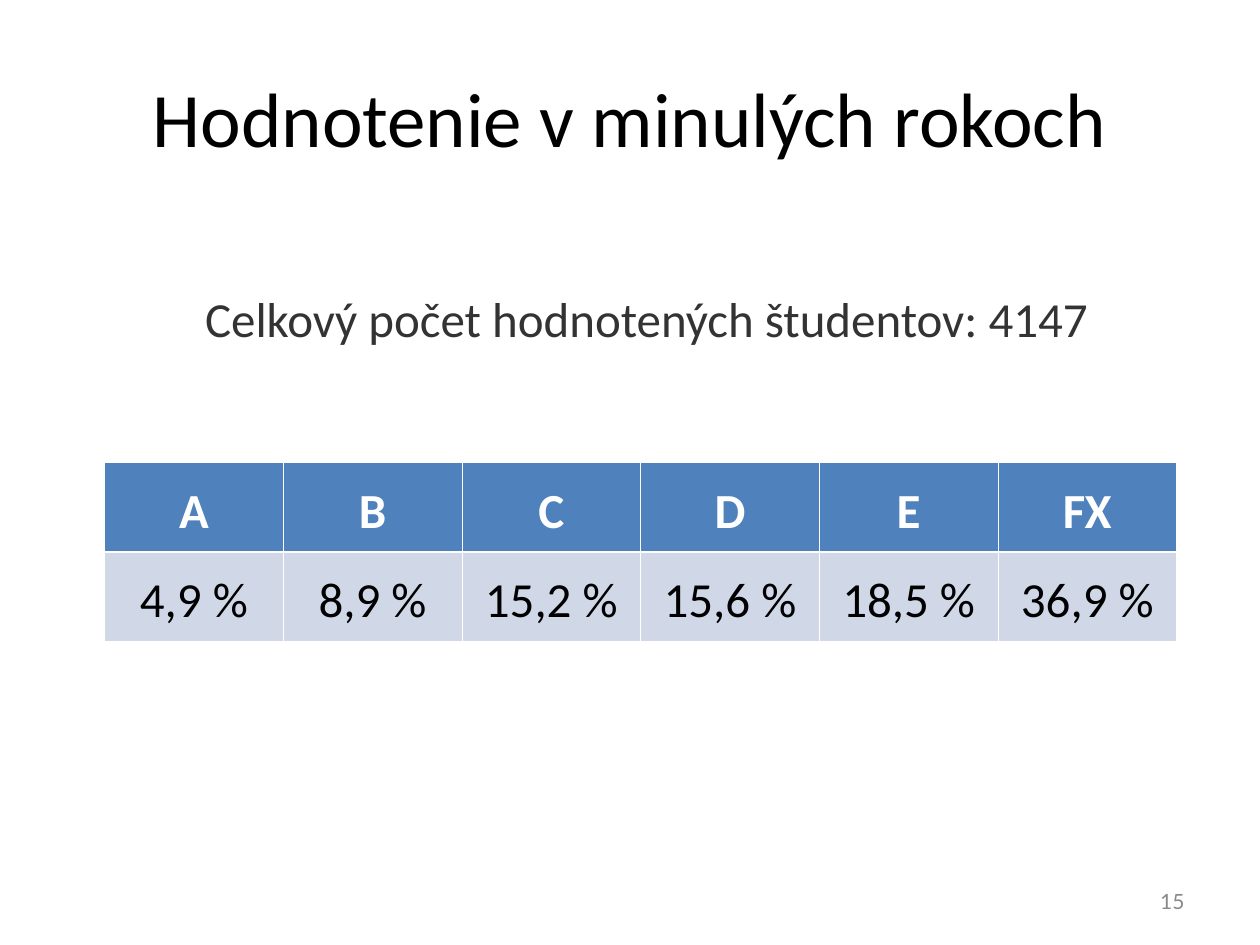
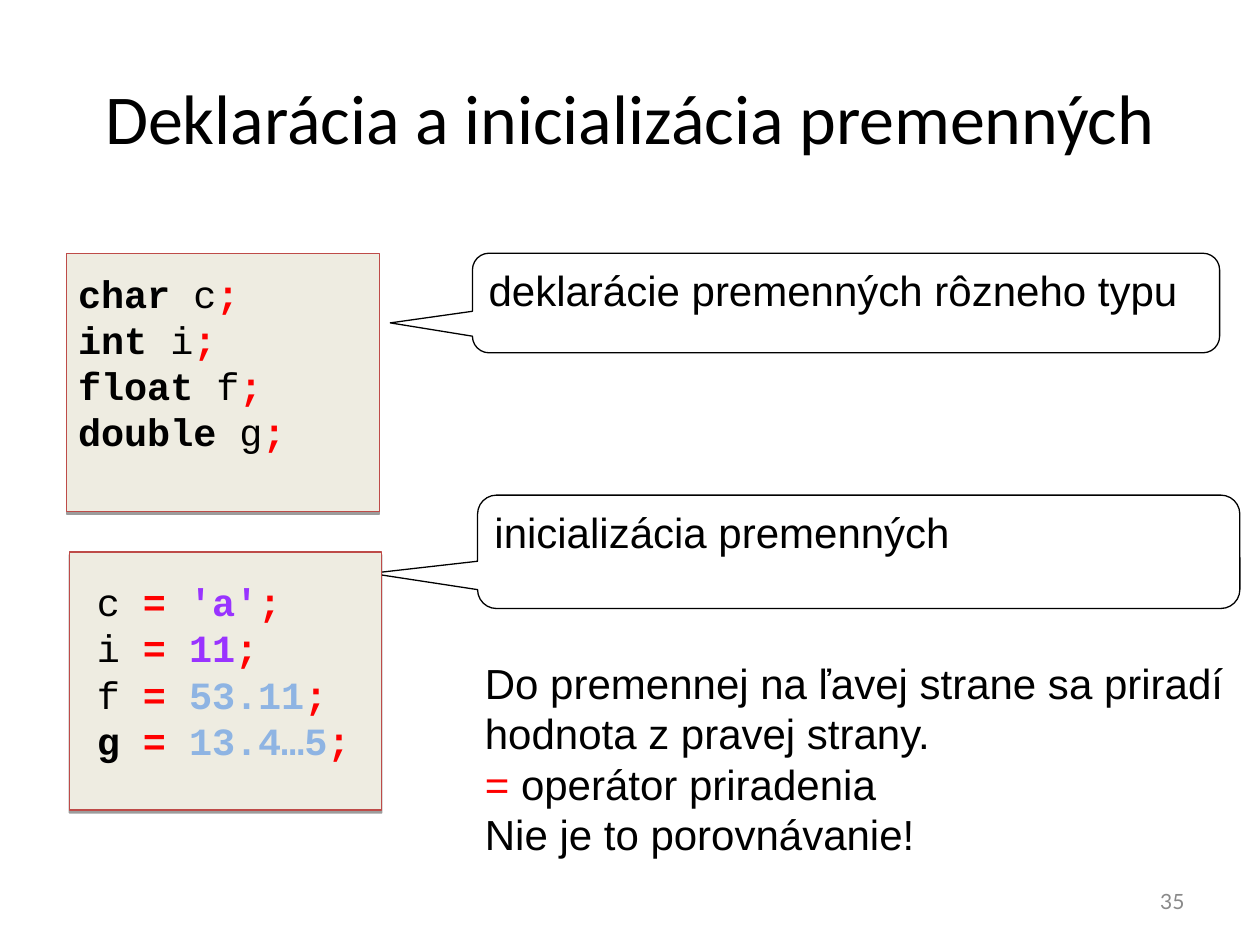
from dataclasses import dataclass
from typing import Any, NamedTuple

import pptx
import pptx.chart.data
import pptx.dml.color
import pptx.enum.shapes
import pptx.enum.text
import pptx.oxml
import pptx.oxml.ns
import pptx.util

Inches = pptx.util.Inches
Pt = pptx.util.Pt
Align = pptx.enum.text.PP_ALIGN
Anchor = pptx.enum.text.MSO_ANCHOR
Kind = pptx.enum.shapes.MSO_SHAPE

BLACK, WHITE, RED = "000000", "FFFFFF", "FF0000"
VIOLET, SKY, GRAY, DARK = "9933FF", "8EB4E3", "898989", "333333"
BLUE, PALE, CREAM, BRICK = "4F81BD", "D0D8E8", "EEECE1", "BE4B48"


class Box(NamedTuple):
    left: float
    top: float
    width: float
    height: float


class Run(NamedTuple):
    text: str
    color: str = BLACK
    bold: bool = False


@dataclass(frozen=True)
class Style:
    font: str
    size: int
    align: Any = Align.LEFT
    anchor: Any = Anchor.TOP
    side: float = 0.1
    space: float = 1.0
    wrap: bool = True


@dataclass(frozen=True)
class Callout:
    box: Box
    text: str
    tip: tuple[float, float]


TITLE = Style("Calibri", 44, Align.CENTER, Anchor.MIDDLE)
LONG = Style("Calibri", 40, Align.CENTER, Anchor.MIDDLE)
TOTAL = Style("Calibri", 28, anchor=Anchor.MIDDLE, wrap=False)
CELL = Style("Calibri", 28, Align.CENTER, Anchor.MIDDLE, 0.05, 1.15)
PAGE = Style("Lato", 12, Align.RIGHT, Anchor.MIDDLE)
TYPES = Style("Courier New", 22, side=0.09)
VALUES = Style("Courier New", 22)
LABEL = Style("Arial", 24, side=0.09)
NOTE = Style("Arial", 24)

GRADES = {
    "A": "4,9 %",
    "B": "8,9 %",
    "C": "15,2 %",
    "D": "15,6 %",
    "E": "18,5 %",
    "FX": "36,9 %",
}
VARS = [("char", "c"), ("int", "i"), ("float", "f"), ("double", "g")]
SETS = [
    ("c", "'a'", VIOLET, False),
    ("i", "11", VIOLET, False),
    ("f", "53.11", SKY, False),
    ("g", "13.4…5", SKY, True),
]
PANELS = [Box(0.53, 2.01, 2.48, 2.05), Box(0.55, 4.38, 2.48, 2.05)]
CALLS = [
    Callout(Box(3.75, 2.01, 5.93, 0.79), "deklarácie premenných rôzneho typu", (-0.61, 0.2)),
    Callout(Box(3.79, 3.93, 6.05, 0.9), "inicializácia premenných", (-0.64, 0.19)),
]


def rgb(code: str) -> Any:
    return pptx.dml.color.RGBColor.from_string(code)


def place(box: Box) -> list[Any]:
    return [Inches(length) for length in box]


def write(frame: Any, lines: list[list[Run]], style: Style) -> None:
    for number, line in enumerate(lines):
        para = frame.add_paragraph() if number else frame.paragraphs[0]
        para.alignment = style.align
        para.line_spacing = style.space
        for item in line:
            run = para.add_run()
            run.text = item.text
            run.font.name = style.font
            run.font.size = Pt(style.size)
            run.font.bold = item.bold
            run.font.color.rgb = rgb(item.color)


def fit(frame: Any, lines: list[list[Run]], style: Style) -> None:
    frame.word_wrap = style.wrap
    frame.vertical_anchor = style.anchor
    frame.margin_left = frame.margin_right = Inches(style.side)
    frame.margin_top = frame.margin_bottom = Inches(0.05)
    write(frame, lines, style)


def add_text(slide: Any, box: Box, lines: list[list[Run]], style: Style) -> None:
    fit(slide.shapes.add_textbox(*place(box)).text_frame, lines, style)


def add_slide(deck: Any, title: str, style: Style, page: str) -> Any:
    slide = deck.slides.add_slide(deck.slide_layouts[6])
    add_text(slide, Box(0.5, 0.3, 9, 1.25), [[Run(title)]], style)
    add_text(slide, Box(7.17, 6.95, 2.33, 0.4), [[Run(page, GRAY)]], PAGE)
    return slide


def add_shape(slide: Any, kind: Any, box: Box, line: str) -> Any:
    shape = slide.shapes.add_shape(kind, *place(box))
    shape.shadow.inherit = False
    shape.line.color.rgb = rgb(line)
    shape.line.width = Pt(0.75)
    return shape


def add_panel(slide: Any, box: Box) -> None:
    shape = add_shape(slide, Kind.RECTANGLE, box, BRICK)
    shape.fill.solid()
    shape.fill.fore_color.rgb = rgb(CREAM)
    effect = shape.element.spPr.find(pptx.oxml.ns.qn("a:effectLst"))
    effect.append(pptx.oxml.parse_xml(
        f'<a:outerShdw {pptx.oxml.ns.nsdecls("a")} blurRad="0" dist="{Pt(1.6)}" '
        f'dir="5400000" rotWithShape="0"><a:srgbClr val="{BLACK}">'
        '<a:alpha val="38000"/></a:srgbClr></a:outerShdw>'))


def add_call(slide: Any, call: Callout) -> None:
    shape = add_shape(slide, Kind.ROUNDED_RECTANGULAR_CALLOUT, call.box, BLACK)
    shape.fill.background()
    shape.adjustments[0], shape.adjustments[1] = call.tip
    fit(shape.text_frame, [[Run(call.text)]], LABEL)


def add_edge(cell: Any, side: str, width: float) -> None:
    cell._tc.get_or_add_tcPr().append(pptx.oxml.parse_xml(
        f'<a:ln{side} {pptx.oxml.ns.nsdecls("a")} w="{Pt(width)}"><a:solidFill>'
        f'<a:srgbClr val="{WHITE}"/></a:solidFill></a:ln{side}>'))


def fill_cell(cell: Any, run: Run, fill: str, thick: str) -> None:
    for side in "LRTB":
        add_edge(cell, side, 1.47 if side == thick else 0.45)
    cell.fill.solid()
    cell.fill.fore_color.rgb = rgb(fill)
    cell.vertical_anchor = CELL.anchor
    cell.margin_left = cell.margin_right = Inches(CELL.side)
    cell.margin_top = cell.margin_bottom = Inches(0.05)
    write(cell.text_frame, [[run]], CELL)


def add_grades(slide: Any) -> None:
    box = Box(0.83, 3.67, 8.51, 1.42)
    table = slide.shapes.add_table(2, len(GRADES), *place(box)).table
    for col, (grade, share) in enumerate(GRADES.items()):
        fill_cell(table.cell(0, col), Run(grade, WHITE, True), BLUE, "B")
        fill_cell(table.cell(1, col), Run(share), PALE, "T")


def draw_grades(deck: Any) -> None:
    slide = add_slide(deck, "Hodnotenie v minulých rokoch", TITLE, "15")
    total = [[Run("Celkový počet hodnotených študentov: 4147", DARK)]]
    add_text(slide, Box(1.53, 2.24, 8, 0.57), total, TOTAL)
    add_grades(slide)


def draw_vars(deck: Any) -> None:
    slide = add_slide(deck, "Deklarácia a inicializácia premenných", LONG, "35")
    end = Run(";", RED, True)
    types = [[Run(f"{kind} ", bold=True), Run(name), end] for kind, name in VARS]
    values = [
        [Run(f"{name} ", bold=bold), Run("= ", RED, True), Run(value, color, True), end]
        for name, value, color, bold in SETS
    ]
    note = [
        [Run("Do premennej na ľavej strane sa priradí hodnota z pravej strany.")],
        [Run("=", RED), Run(" operátor priradenia")],
        [Run("Nie je to porovnávanie!")],
    ]
    for call in CALLS:
        add_call(slide, call)
    for panel in PANELS:
        add_panel(slide, panel)
    add_text(slide, Box(0.53, 2.09, 2.66, 1.92), types, TYPES)
    add_text(slide, Box(0.67, 4.54, 2.34, 1.94), values, VALUES)
    add_text(slide, Box(3.75, 5.17, 6.09, 2.1), note, NOTE)


def main() -> None:
    deck = pptx.Presentation()
    deck.slide_width, deck.slide_height = Inches(10), Inches(7.5)
    draw_grades(deck)
    draw_vars(deck)
    deck.save("out.pptx")


if __name__ == "__main__":
    main()
